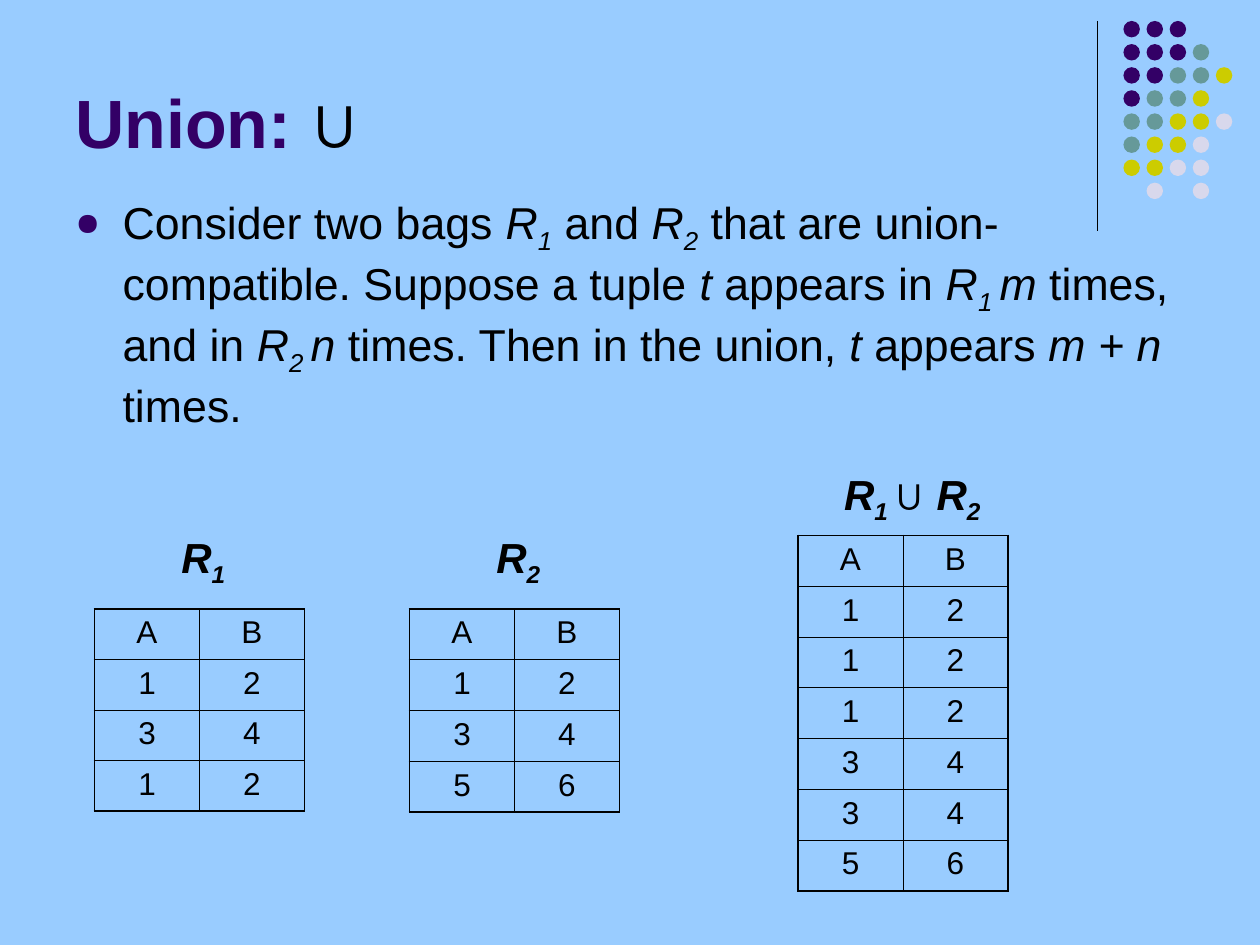
import lxml.etree
import pptx
import pptx.dml.color
import pptx.enum.shapes
import pptx.enum.text
import pptx.oxml.ns
import pptx.util

Pt = pptx.util.Pt
RGBColor = pptx.dml.color.RGBColor
qn = pptx.oxml.ns.qn

SKY = RGBColor(0x99, 0xCC, 0xFF)
BLACK = RGBColor(0, 0, 0)
PURPLE = RGBColor(0x33, 0x00, 0x66)
TEAL = RGBColor(0x66, 0x99, 0x99)
OLIVE = RGBColor(0xCC, 0xCC, 0x00)
LILAC = RGBColor(0xD8, 0xD8, 0xEC)

FONT = "Arial"
DOT_COLORS = {"P": PURPLE, "T": TEAL, "O": OLIVE, "L": LILAC}
DOT_ROWS = ["PPP", "PPPT", "PPTTO", "PTTO", "TTOOL", "TOOL", "OOLL", ".L.L"]
ITALIC, SUBSCRIPT, BOLD = "i", "is", "b"
BOLD_ITALIC, BOLD_SUBSCRIPT = "bi", "bis"

BODY_RUNS = [
    ("Consider two bags ", ""), ("R", ITALIC), ("1", SUBSCRIPT),
    (" and ", ""), ("R", ITALIC), ("2", SUBSCRIPT),
    (" that are union-compatible. Suppose a tuple ", ""), ("t", ITALIC),
    (" appears in ", ""), ("R", ITALIC), ("1 ", SUBSCRIPT), ("m", ITALIC),
    (" times, and in ", ""), ("R", ITALIC), ("2 ", SUBSCRIPT), ("n", ITALIC),
    (" times. Then in the union, ", ""), ("t", ITALIC), (" appears ", ""),
    ("m + n", ITALIC), (" times.", ""),
]
R1_LABEL = [("R", BOLD_ITALIC), ("1", BOLD_SUBSCRIPT)]
R2_LABEL = [("R", BOLD_ITALIC), ("2", BOLD_SUBSCRIPT)]
UNION_LABEL = [("R", BOLD_ITALIC), ("1 ", BOLD_SUBSCRIPT), ("∪ ", BOLD),
               ("R", BOLD_ITALIC), ("2", BOLD_SUBSCRIPT)]


def add_run(paragraph, text, size, style="", color=BLACK):
    """Add one run; style letters mean bold, italic and subscript."""
    run = paragraph.add_run()
    run.text = text
    run.font.name = FONT
    run.font.size = Pt(size)
    run.font.bold = "b" in style
    run.font.italic = "i" in style
    run.font.color.rgb = color
    if "s" in style:
        run._r.get_or_add_rPr().set("baseline", "-25000")


def add_text_frame(slide, left, top, width, height, wrap=True):
    """Add a text box and return its text frame."""
    box = slide.shapes.add_textbox(Pt(left), Pt(top), Pt(width), Pt(height))
    box.text_frame.word_wrap = wrap
    return box.text_frame


def add_dot_ornament(slide, left, top, rule_height):
    """Draw the vertical rule and the grid of coloured dots beside it."""
    rule = slide.shapes.add_connector(
        pptx.enum.shapes.MSO_CONNECTOR.STRAIGHT,
        Pt(left), Pt(top), Pt(left), Pt(top + rule_height))
    rule.line.color.rgb = BLACK
    rule.line.width = Pt(0.75)
    lxml.etree.SubElement(rule._element.spPr, qn("a:effectLst"))
    pitch, diameter = 13.2, 9.4
    for row, letters in enumerate(DOT_ROWS):
        for column, letter in enumerate(letters):
            if letter not in DOT_COLORS:
                continue
            dot = slide.shapes.add_shape(
                pptx.enum.shapes.MSO_SHAPE.OVAL,
                Pt(left + 15 + column * pitch), Pt(top + row * pitch),
                Pt(diameter), Pt(diameter))
            dot.shadow.inherit = False
            dot.fill.solid()
            dot.fill.fore_color.rgb = DOT_COLORS[letter]
            dot.line.fill.background()


def add_title(slide, left, top, width, height):
    """Write the slide title along the bottom of its box."""
    frame = add_text_frame(slide, left, top, width, height)
    frame.vertical_anchor = pptx.enum.text.MSO_ANCHOR.BOTTOM
    add_run(frame.paragraphs[0], "Union: ", 39, BOLD, PURPLE)
    add_run(frame.paragraphs[0], "∪", 39, BOLD)


def add_body(slide, left, top, width, height):
    """Write the bulleted definition of the bag union."""
    paragraph = add_text_frame(slide, left, top, width, height).paragraphs[0]
    properties = paragraph._p.get_or_add_pPr()
    properties.set("marL", str(Pt(27)))
    properties.set("indent", str(-Pt(27)))
    bullet_color = lxml.etree.SubElement(properties, qn("a:buClr"))
    lxml.etree.SubElement(bullet_color, qn("a:srgbClr"), val=str(PURPLE))
    lxml.etree.SubElement(properties, qn("a:buSzPct"), val="70000")
    lxml.etree.SubElement(properties, qn("a:buChar"), char="●")
    for text, style in BODY_RUNS:
        add_run(paragraph, text, 25.5, style)


def set_cell_borders(cell, widths):
    """Give a cell black borders; widths run left, right, top, bottom."""
    properties = cell._tc.get_or_add_tcPr()
    for position, (side, width) in enumerate(zip("LRTB", widths)):
        border = lxml.etree.Element(qn(f"a:ln{side}"), w=str(Pt(width)))
        fill = lxml.etree.SubElement(border, qn("a:solidFill"))
        lxml.etree.SubElement(fill, qn("a:srgbClr"), val=str(BLACK))
        properties.insert(position, border)


def add_relation(slide, left, top, row_height, tuples, label, label_box):
    """Draw a relation as a two-column table with its label above."""
    rows = [("A", "B")] + tuples
    table = slide.shapes.add_table(
        len(rows), 2, Pt(left), Pt(top),
        Pt(120), Pt(row_height * len(rows))).table
    table.first_row = False
    table.horz_banding = False
    outer, inner = 1.08, 0.45
    for row, values in enumerate(rows):
        for column, value in enumerate(values):
            cell = table.cell(row, column)
            cell.fill.background()
            set_cell_borders(cell, [
                outer if column == 0 else inner,
                outer if column == 1 else inner,
                outer if row == 0 else inner,
                outer if row == len(rows) - 1 else inner])
            paragraph = cell.text_frame.paragraphs[0]
            paragraph.alignment = pptx.enum.text.PP_ALIGN.CENTER
            add_run(paragraph, value, 18)
    offset_left, offset_top, width = label_box
    frame = add_text_frame(slide, left + offset_left, top + offset_top,
                           width, 40.3, wrap=False)
    frame.auto_size = pptx.enum.text.MSO_AUTO_SIZE.SHAPE_TO_FIT_TEXT
    for text, style in label:
        add_run(frame.paragraphs[0], text, 24, style)


def main():
    """Build the slide and save it."""
    presentation = pptx.Presentation()
    presentation.slide_width = Pt(720)
    presentation.slide_height = Pt(540)
    slide = presentation.slides.add_slide(presentation.slide_layouts[6])
    slide.background.fill.solid()
    slide.background.fill.fore_color.rgb = SKY
    add_dot_ornament(slide, 627, 12, 120)
    add_title(slide, 36, 9.5, 594, 86.5)
    add_body(slide, 36, 108, 648, 152.5)
    r1 = [("1", "2"), ("3", "4"), ("1", "2")]
    r2 = [("1", "2"), ("3", "4"), ("5", "6")]
    label_box = (42.5, -48, 39.6)
    add_relation(slide, 54, 348, 28.75, r1, R1_LABEL, label_box)
    add_relation(slide, 234, 348, 29, r2, R2_LABEL, label_box)
    add_relation(slide, 456, 306, 29, sorted(r1 + r2), UNION_LABEL,
                 (19.2, -42, 94.3))
    presentation.save("out.pptx")


if __name__ == "__main__":
    main()
